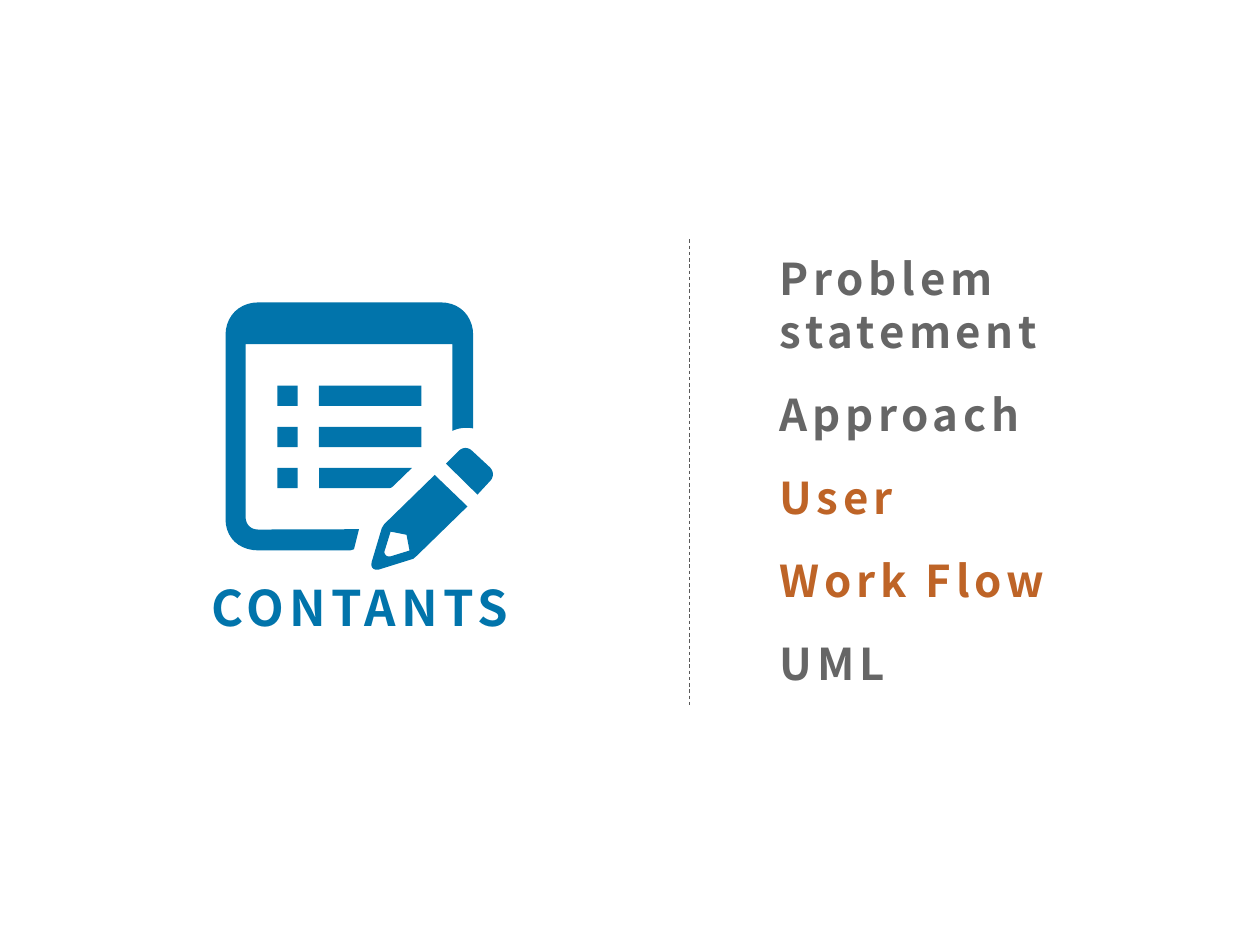
from lxml import etree
from pptx import Presentation
from pptx.dml.color import RGBColor
from pptx.enum.dml import MSO_LINE
from pptx.enum.shapes import MSO_CONNECTOR, MSO_SHAPE
from pptx.enum.text import MSO_ANCHOR, MSO_AUTO_SIZE, PP_ALIGN
from pptx.oxml.ns import qn
from pptx.util import Pt

DASH = MSO_LINE.DASH
STRAIGHT = MSO_CONNECTOR.STRAIGHT
RECTANGLE = MSO_SHAPE.RECTANGLE
TOP = MSO_ANCHOR.TOP
NO_AUTOFIT = MSO_AUTO_SIZE.NONE
LEFT, CENTER = PP_ALIGN.LEFT, PP_ALIGN.CENTER

FONT = "Noto Sans CJK SC"
BLUE, GRAY, ORANGE, RULE = "0174AB", "666666", "BE6427", "595959"

HEADING = "CONTANTS"
TOPICS = [
    ("Problem statement", GRAY),
    ("Approach", GRAY),
    ("User", ORANGE),
    ("Work Flow", ORANGE),
    ("UML", GRAY),
]

# Each step is a corner (x, y) or a cubic curve (two controls, then its end).
PAGE = [[
    (205.2, 302.4), (202.3, 313.9), (200.2, 314.5), (147.6, 314.5),
    (136.8, 314.5, 128.9, 307.4, 128.9, 296.6), (128.9, 191.5),
    (128.9, 180.7, 136.8, 172.8, 147.6, 172.8), (252, 172.8),
    (262.8, 172.8, 270.4, 180.7, 270.4, 191.5), (270.4, 244.8),
    (266, 244, 262, 244.6, 258.6, 246.2), (258.6, 196.6),
    (140.4, 196.6), (140.4, 295.2),
    (140.4, 299.5, 143, 302.6, 147.6, 302.6),
]]
PENCIL = [
    [(248.4, 271.4), (267.1, 289.4), (238.3, 317.5), (236.2, 319.3),
     (216.7, 325.4), (214, 326, 211.6, 325, 212.4, 321.1),
     (218.2, 301.7), (219.6, 299.5)],
    [(223.2, 303.8), (219.6, 315.4),
     (220, 318, 222, 318.5, 224.6, 317.5), (234, 314.6), (232.3, 305.6)],
]
ERASER = [[
    (254.9, 265), (262.1, 257.8), (264.5, 255.4, 267.5, 255.4, 270, 257.8),
    (280, 267.1), (282.3, 269.5, 282.3, 272.7, 280, 275), (272.9, 282.7),
]]
CUT_BAR = [[
    (182.3, 267.4), (235.4, 267.4), (224.6, 277.9),
    (223.5, 279, 222.5, 279, 221, 279), (182.3, 279),
]]
ROW_TOP, ROW_PITCH, ROW_HEIGHT = 220.4, 23.5, 11.6
MARK_X, BAR_X, BAR_WIDTH = 158.5, 182.3, 58.5
CURVE_STEPS = 10


def rgb(color):
    return RGBColor.from_string(color)


def paint(shape):
    shape.fill.solid()
    shape.fill.fore_color.rgb = rgb(BLUE)
    shape.line.fill.background()
    shape.shadow.inherit = False


def flatten(steps):
    points = []
    for step in steps:
        if len(step) == 2:
            points.append(step)
            continue
        x0, y0 = points[-1]
        x1, y1, x2, y2, x3, y3 = step
        for i in range(1, CURVE_STEPS + 1):
            t = i / CURVE_STEPS
            a, b, c, d = (1 - t) ** 3, 3 * t * (1 - t) ** 2, 3 * t * t * (1 - t), t ** 3
            points.append((a * x0 + b * x1 + c * x2 + d * x3,
                           a * y0 + b * y1 + c * y2 + d * y3))
    return [(Pt(x), Pt(y)) for x, y in points]


def draw_outline(shapes, contours):
    first, *holes = [flatten(steps) for steps in contours]
    builder = shapes.build_freeform(*first[0])
    builder.add_line_segments(first[1:])
    for hole in holes:
        builder.move_to(*hole[0])
        builder.add_line_segments(hole[1:])
    paint(builder.convert_to_shape())


def draw_block(shapes, x, y, width):
    paint(shapes.add_shape(RECTANGLE, Pt(x), Pt(y), Pt(width), Pt(ROW_HEIGHT)))


def place(holder, x, y, width, height):
    holder.left, holder.top, holder.width, holder.height = map(Pt, (x, y, width, height))
    frame = holder.text_frame
    frame.word_wrap = True
    frame.auto_size = NO_AUTOFIT
    frame.vertical_anchor = TOP
    frame.margin_left = frame.margin_right = Pt(3.6)
    frame.margin_top = frame.margin_bottom = Pt(3.6)
    return frame


def write(paragraph, text, *, size, color, spacing, align=LEFT, before=0):
    paragraph.alignment = align
    paragraph.line_spacing = 1.0
    paragraph.space_before = Pt(before)
    properties = paragraph._p.get_or_add_pPr()
    properties.set("marL", "0")
    properties.set("indent", "0")
    etree.SubElement(properties, qn("a:buNone"))
    run = paragraph.add_run()
    run.text = text
    run.font.name = FONT
    run.font.size = Pt(size)
    run.font.bold = True
    run.font.color.rgb = rgb(color)
    letters = run._r.get_or_add_rPr()
    letters.set("spc", str(round(spacing * 100)))
    etree.SubElement(letters, qn("a:ea")).set("typeface", FONT)


deck = Presentation()
deck.slide_width, deck.slide_height = Pt(720), Pt(540)
slide = deck.slides.add_slide(deck.slide_layouts[1])
heading, topics = slide.placeholders

heading_frame = place(heading, 104.4, 326.2, 202.3, 41)
write(heading_frame.paragraphs[0], HEADING, size=28, color=BLUE, spacing=3, align=CENTER)

topics_frame = place(topics, 442.1, 140.4, 186.5, 260)
for i, (topic, color) in enumerate(TOPICS):
    paragraph = topics_frame.add_paragraph() if i else topics_frame.paragraphs[0]
    write(paragraph, topic, size=25, color=color, spacing=2.7, before=17.5 if i else 0)

divider = slide.shapes.add_connector(STRAIGHT, Pt(393.8), Pt(136.8), Pt(393.8), Pt(403.2))
divider.line.color.rgb = rgb(RULE)
divider.line.width = Pt(0.5)
divider.line.dash_style = DASH
etree.SubElement(divider._element.spPr, qn("a:effectLst"))

icon = slide.shapes.add_group_shape().shapes
for contours in (PAGE, PENCIL, ERASER, CUT_BAR):
    draw_outline(icon, contours)
for row in range(3):
    y = ROW_TOP + row * ROW_PITCH
    draw_block(icon, MARK_X, y, ROW_HEIGHT)
    if row < 2:
        draw_block(icon, BAR_X, y, BAR_WIDTH)

deck.save("out.pptx")
